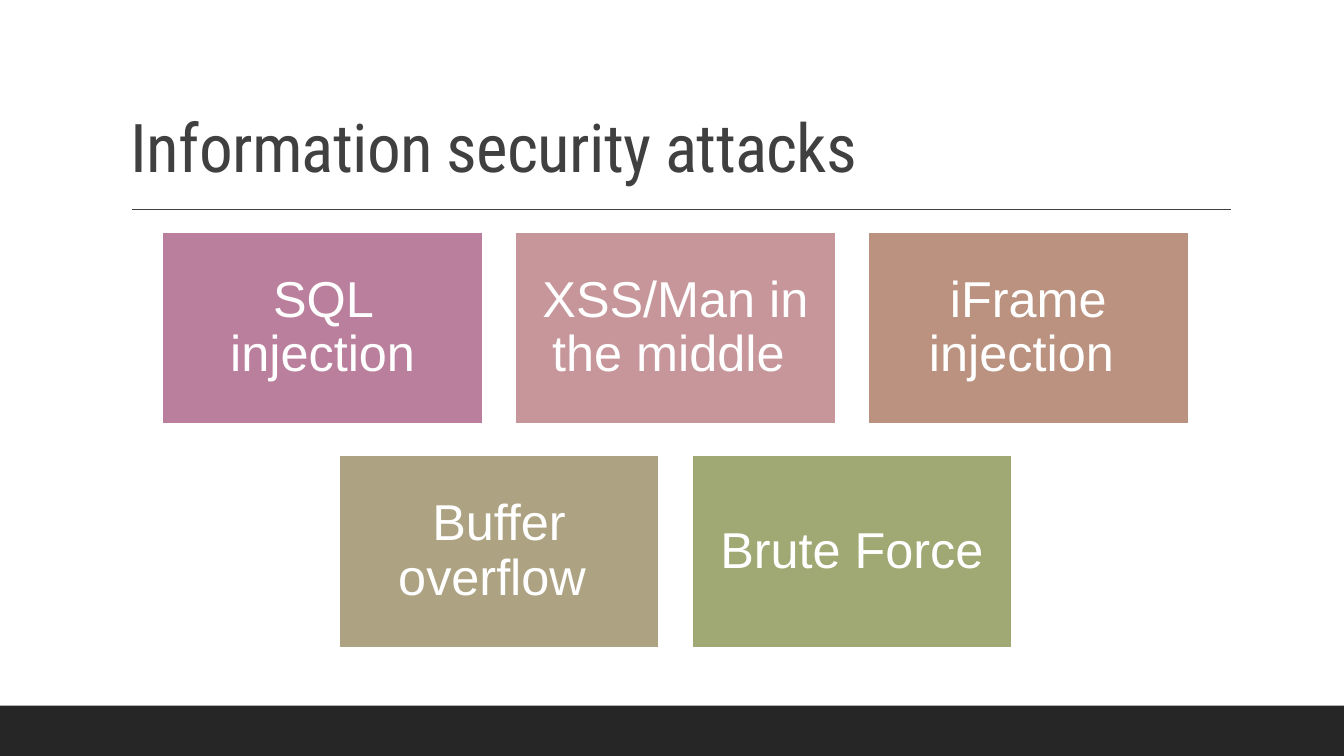
"""Build the slide on information security attacks."""
from dataclasses import dataclass

from lxml.etree import SubElement
from pptx import Presentation
from pptx.dml.color import RGBColor
from pptx.enum.shapes import MSO_CONNECTOR, MSO_SHAPE
from pptx.enum.text import MSO_ANCHOR, PP_ALIGN
from pptx.oxml.ns import qn
from pptx.shapes.autoshape import Shape
from pptx.slide import Slide
from pptx.text.text import TextFrame
from pptx.util import Emu, Pt

PX = 9144
SLIDE_W, SLIDE_H = 1333, 750
FOOTER_H = 50
CARD_W, CARD_H = 318, 191
STEP_X, STEP_Y = 350, 222
GRID_LEFT, GRID_TOP = 161, 230
COLUMNS = 3


@dataclass(frozen=True)
class Theme:
    paper: str = "FFFFFF"
    ink: str = "404040"
    footer: str = "262626"
    title_font: str = "Roboto Condensed"
    body_font: str = "Arial"
    title_size: float = 48
    card_size: float = 36
    rule_width: float = 1
    card_border: float = 1.25


@dataclass(frozen=True)
class Box:
    left: int
    top: int
    width: int
    height: int

    def emu(self) -> tuple[Emu, Emu, Emu, Emu]:
        return px(self.left), px(self.top), px(self.width), px(self.height)


@dataclass(frozen=True)
class Attack:
    label: str
    color: str


THEME = Theme()
ATTACKS = [
    Attack("SQL injection", "BA7F9C"),
    Attack("XSS/Man in the middle ", "C6969A"),
    Attack("iFrame injection ", "BA927F"),
    Attack("Buffer overflow ", "ADA383"),
    Attack("Brute Force", "A0A873"),
]


def px(length: int) -> Emu:
    return Emu(length * PX)


def rgb(color: str) -> RGBColor:
    return RGBColor.from_string(color)


def write(frame: TextFrame, text: str, font: str, size: float, color: str) -> None:
    frame.word_wrap = True
    frame.text = text
    paragraph = frame.paragraphs[0]
    paragraph.line_spacing = 0.9
    run = paragraph.runs[0]
    run.font.name = font
    run.font.size = Pt(size)
    run.font.color.rgb = rgb(color)


def add_block(slide: Slide, box: Box, color: str) -> Shape:
    block = slide.shapes.add_shape(MSO_SHAPE.RECTANGLE, *box.emu())
    block.shadow.inherit = False
    block.fill.solid()
    block.fill.fore_color.rgb = rgb(color)
    block.line.fill.background()
    return block


def add_title(slide: Slide, text: str) -> None:
    title = slide.shapes.add_textbox(*Box(120, 31, 1100, 159).emu())
    frame = title.text_frame
    frame.vertical_anchor = MSO_ANCHOR.BOTTOM
    write(frame, text, THEME.title_font, THEME.title_size, THEME.ink)
    frame.paragraphs[0].runs[0].font._element.set("spc", "-50")


def add_rule(slide: Slide) -> None:
    rule = slide.shapes.add_connector(
        MSO_CONNECTOR.STRAIGHT, px(131), px(208), px(1221), px(208)
    )
    rule.line.color.rgb = rgb(THEME.ink)
    rule.line.width = Pt(THEME.rule_width)
    SubElement(rule._element.spPr, qn("a:effectLst"))


def add_card(slide: Slide, attack: Attack, box: Box) -> None:
    card = add_block(slide, box, attack.color)
    card.line.color.rgb = rgb(THEME.paper)
    card.line.width = Pt(THEME.card_border)
    frame = card.text_frame
    frame.margin_left = frame.margin_right = px(15)
    frame.margin_top = frame.margin_bottom = px(15)
    frame.vertical_anchor = MSO_ANCHOR.MIDDLE
    write(frame, attack.label, THEME.body_font, THEME.card_size, THEME.paper)
    frame.paragraphs[0].alignment = PP_ALIGN.CENTER


def add_cards(slide: Slide, attacks: list[Attack]) -> None:
    for index, attack in enumerate(attacks):
        row, column = divmod(index, COLUMNS)
        in_row = min(COLUMNS, len(attacks) - row * COLUMNS)
        indent = (COLUMNS - in_row) * STEP_X // 2
        left = GRID_LEFT + indent + column * STEP_X
        top = GRID_TOP + row * STEP_Y
        add_card(slide, attack, Box(left, top, CARD_W, CARD_H))


def main() -> None:
    deck = Presentation()
    deck.slide_width, deck.slide_height = px(SLIDE_W), px(SLIDE_H)
    slide = deck.slides.add_slide(deck.slide_layouts[6])
    slide.background.fill.solid()
    slide.background.fill.fore_color.rgb = rgb(THEME.paper)
    add_title(slide, "Information security attacks")
    add_rule(slide)
    add_block(slide, Box(0, SLIDE_H - FOOTER_H, SLIDE_W, FOOTER_H), THEME.footer)
    add_cards(slide, ATTACKS)
    deck.save("out.pptx")


if __name__ == "__main__":
    main()
